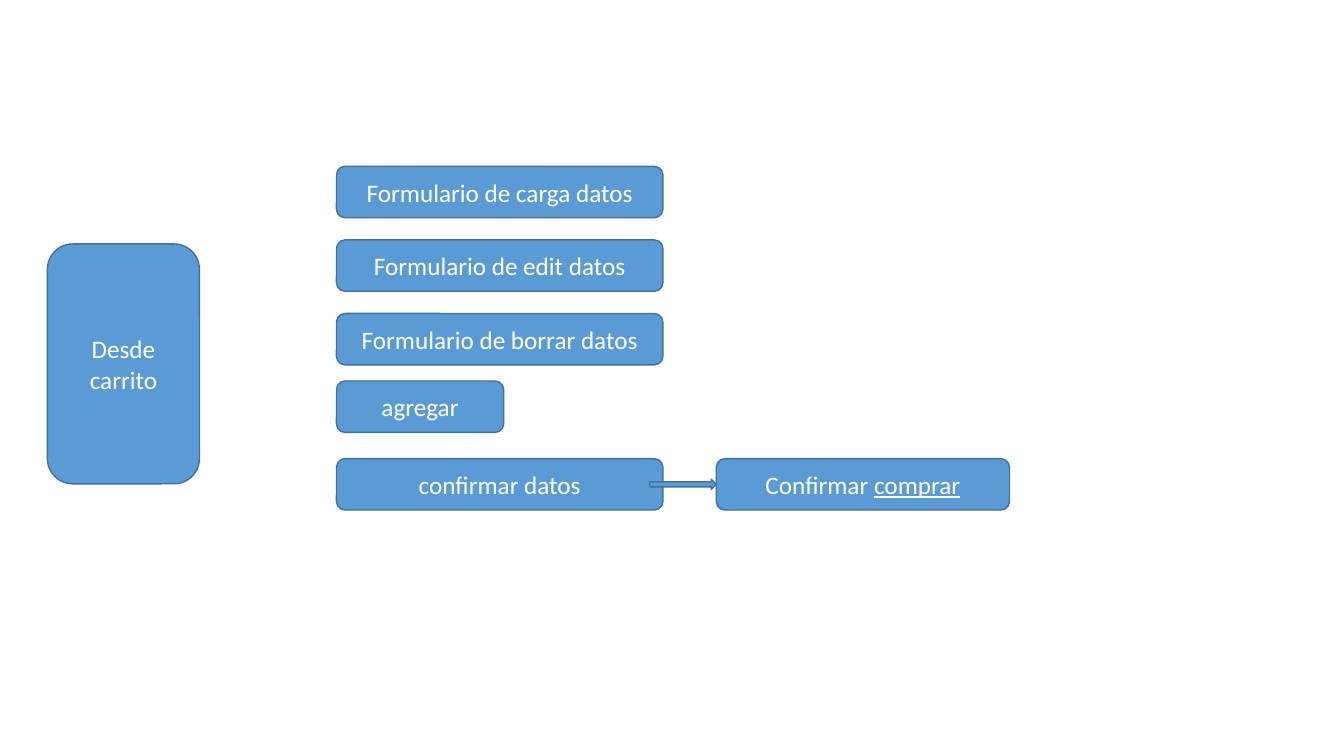
from pptx import Presentation
from pptx.dml.color import RGBColor
from pptx.enum.shapes import MSO_SHAPE
from pptx.enum.text import MSO_ANCHOR, PP_ALIGN
from pptx.util import Inches, Pt

ROUNDED = MSO_SHAPE.ROUNDED_RECTANGLE
ARROW = MSO_SHAPE.RIGHT_ARROW
MIDDLE = MSO_ANCHOR.MIDDLE
CENTER = PP_ALIGN.CENTER

THEME = {
    "fill": RGBColor(0x5B, 0x9B, 0xD5),
    "line": RGBColor(0x41, 0x71, 0x9C),
    "text": RGBColor(0xFF, 0xFF, 0xFF),
    "font": "Calibri",
    "size": Pt(18),
    "line_width": Pt(1),
}

# Grid in inches
FORM_LEFT, FORM_WIDTH = 3.34, 3.24
FORM_TOP, FORM_STEP = 1.65, 0.73
BOX_HEIGHT = 0.51
ADD_TOP, ADD_WIDTH = 3.78, 1.66
CONFIRM_TOP = 4.55
BUY_LEFT, BUY_WIDTH = 7.11, 2.91
ARROW_WIDTH, ARROW_HEIGHT = 0.66, 0.1

deck = Presentation()
deck.slide_width, deck.slide_height = Inches(13.34), Inches(7.5)
page = deck.slides.add_slide(deck.slide_layouts[6])


def add_box(left, top, width, height, kind=ROUNDED):
    box = page.shapes.add_shape(
        kind, Inches(left), Inches(top), Inches(width), Inches(height))
    box.shadow.inherit = False
    box.fill.solid()
    box.fill.fore_color.rgb = THEME["fill"]
    box.line.color.rgb = THEME["line"]
    box.line.width = THEME["line_width"]
    return box


def write(box, text, underline=None):
    frame = box.text_frame
    frame.word_wrap = True
    frame.vertical_anchor = MIDDLE
    para = frame.paragraphs[0]
    para.alignment = CENTER
    span = para.add_run()
    span.text = text
    font = span.font
    font.name, font.size = THEME["font"], THEME["size"]
    font.color.rgb = THEME["text"]
    font.underline = underline


# Starting point
write(add_box(0.47, 2.42, 1.51, 2.38), "Desde carrito")

# Forms
for row, action in enumerate(["carga", "edit", "borrar"]):
    form = add_box(FORM_LEFT, FORM_TOP + row * FORM_STEP, FORM_WIDTH, BOX_HEIGHT)
    write(form, f"Formulario de {action} datos")

# Add and confirm
write(add_box(FORM_LEFT, ADD_TOP, ADD_WIDTH, BOX_HEIGHT), "agregar")
write(add_box(FORM_LEFT, CONFIRM_TOP, FORM_WIDTH, BOX_HEIGHT), "confirmar datos")

# Purchase, with one underlined word
purchase = add_box(BUY_LEFT, CONFIRM_TOP, BUY_WIDTH, BOX_HEIGHT)
write(purchase, "Confirmar ")
write(purchase, "comprar", underline=True)

# Block arrow that ends at the purchase box
add_box(BUY_LEFT - ARROW_WIDTH, CONFIRM_TOP + (BOX_HEIGHT - ARROW_HEIGHT) / 2,
        ARROW_WIDTH, ARROW_HEIGHT, kind=ARROW)

deck.save("out.pptx")
